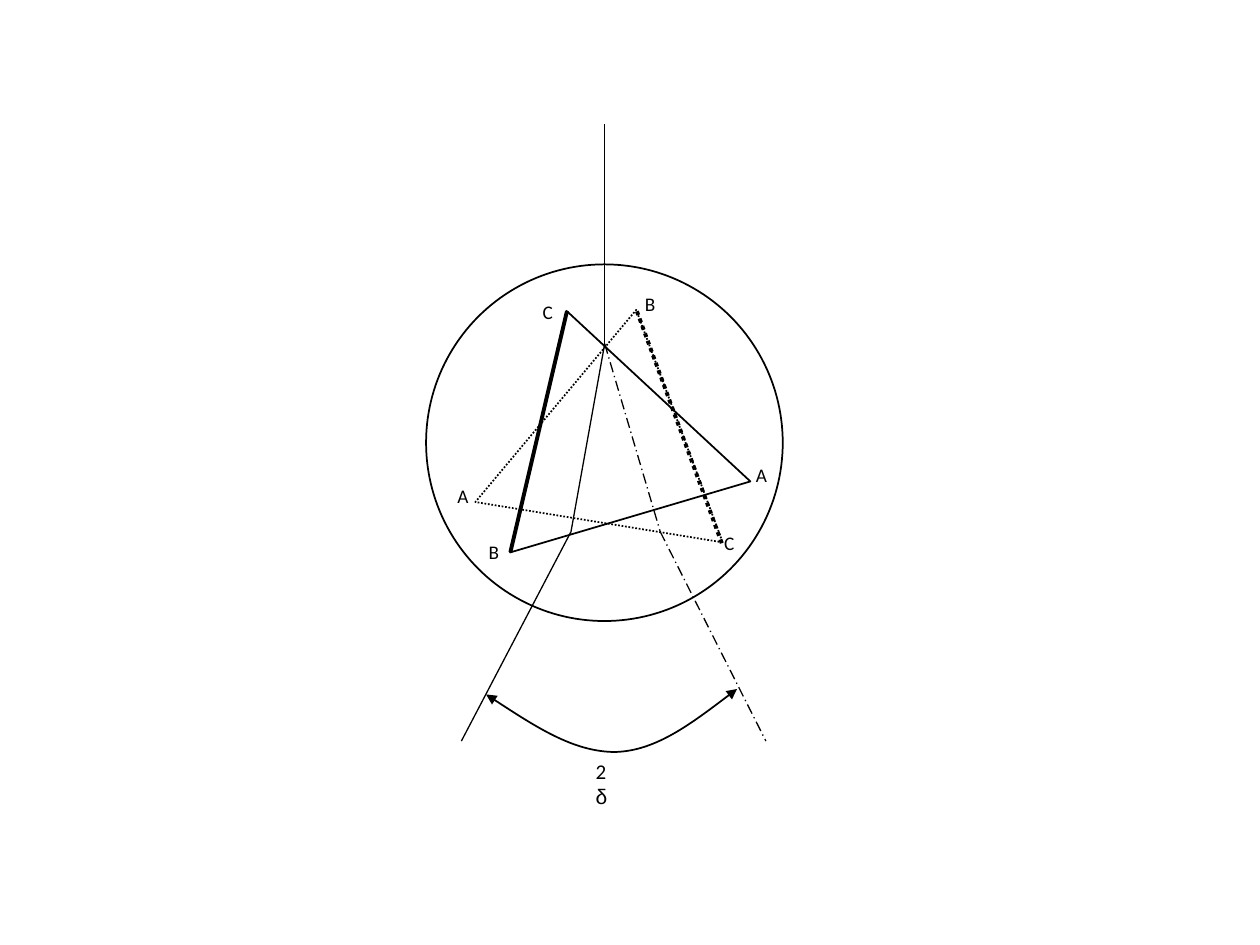
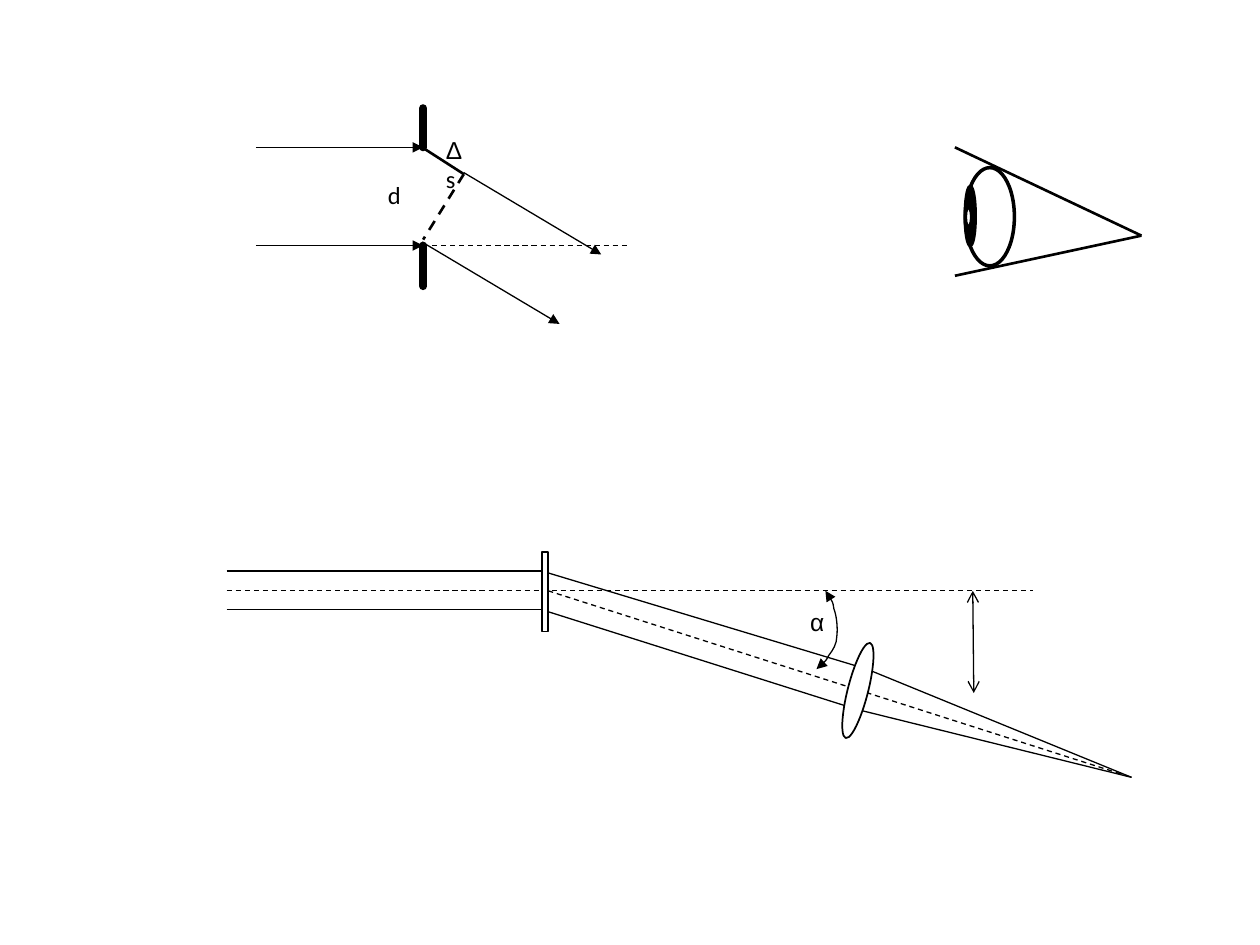
from lxml import etree
from pptx import Presentation
from pptx.dml.color import RGBColor
from pptx.enum.dml import MSO_LINE
from pptx.enum.shapes import MSO_CONNECTOR, MSO_SHAPE
from pptx.enum.text import MSO_AUTO_SIZE, PP_ALIGN
from pptx.oxml.ns import qn
from pptx.util import Cm, Pt

BLACK = RGBColor(0x00, 0x00, 0x00)
WHITE = RGBColor(0xFF, 0xFF, 0xFF)
LATIN, GREEK = "Calibri", "Arial"

STRAIGHT = MSO_CONNECTOR.STRAIGHT
RECTANGLE = MSO_SHAPE.RECTANGLE
ELLIPSE = MSO_SHAPE.OVAL
TRIANGLE = MSO_SHAPE.ISOSCELES_TRIANGLE
DOTTED = MSO_LINE.ROUND_DOT
DASHED = MSO_LINE.DASH
DASH_DOT = MSO_LINE.LONG_DASH_DOT
FIT_TEXT = MSO_AUTO_SIZE.SHAPE_TO_FIT_TEXT
LEFT = PP_ALIGN.LEFT


# Element helpers; all positions and sizes are in centimetres
def style_line(line, width, dash=None, head=None, tail=None, color=BLACK):
    line.color.rgb = color
    line.width = Pt(width)
    if dash is not None:
        line.dash_style = dash
    ln = line.fill._xPr
    for end, arrow in (("a:headEnd", head), ("a:tailEnd", tail)):
        if arrow:
            etree.SubElement(ln, qn(end), type=arrow)


def add_line(slide, start, finish, width=0.75, dash=None, head=None, tail=None, cap=None):
    ends = [Cm(value) for value in (*start, *finish)]
    connector = slide.shapes.add_connector(STRAIGHT, *ends)
    style_line(connector.line, width, dash, head, tail)
    properties = connector._element.spPr
    if cap:
        properties.find(qn("a:ln")).set("cap", cap)
    etree.SubElement(properties, qn("a:effectLst"))


def add_route(slide, points, **style):
    for start, finish in zip(points, points[1:]):
        add_line(slide, start, finish, **style)


def add_figure(slide, kind, left, top, width, height, fill=WHITE, line=BLACK,
               weight=1, dash=None, rotation=0):
    figure = slide.shapes.add_shape(kind, Cm(left), Cm(top), Cm(width), Cm(height))
    figure.shadow.inherit = False
    figure.rotation = rotation
    if fill is None:
        figure.fill.background()
    else:
        figure.fill.solid()
        figure.fill.fore_color.rgb = fill
    style_line(figure.line, weight, dash, color=line)


def add_angle_arc(slide, points, width):
    """Draw a double-headed Bezier curve: a start, then three points per piece."""
    corners = [(Cm(x), Cm(y)) for x, y in points]
    builder = slide.shapes.build_freeform(*corners[0])
    builder.add_line_segments(corners[1:], close=False)
    arc = builder.convert_to_shape()
    arc.shadow.inherit = False
    arc.fill.background()
    style_line(arc.line, width, head="triangle", tail="triangle")
    # Turn each three straight steps into one cubic piece
    steps = arc._element.xpath(".//a:lnTo")
    for first in range(0, len(steps), 3):
        piece = etree.Element(qn("a:cubicBezTo"))
        steps[first].addprevious(piece)
        for step in steps[first:first + 3]:
            piece.append(step[0])
            step.getparent().remove(step)


def add_label(slide, left, top, width, height, size, *pieces):
    """Each piece is a (text, font name) pair."""
    box = slide.shapes.add_textbox(Cm(left), Cm(top), Cm(width), Cm(height))
    frame = box.text_frame
    frame.word_wrap = True
    frame.auto_size = FIT_TEXT
    paragraph = frame.paragraphs[0]
    paragraph.alignment = LEFT
    paragraph.font.size = Pt(size)
    paragraph.font.color.rgb = BLACK
    for text, font_name in pieces:
        run = paragraph.add_run()
        run.text = text
        run.font.name = font_name


def add_vertex_labels(slide, corners):
    for letter, (left, top) in zip("ABC", corners):
        add_label(slide, left, top, 0.74, 0.74, 11, (letter, LATIN))


# Slide 1: prism in two positions on a turntable
def build_prism(slide):
    add_figure(slide, RECTANGLE, 7.19, 1.78, 9.75, 14.15, line=WHITE, weight=2)
    add_figure(slide, ELLIPSE, 8.59, 5.33, 7.19, 7.19)

    # First position with its refracted ray
    apex = (12.19, 6.93)
    add_figure(slide, TRIANGLE, 10.49, 7.01, 5, 4.39, rotation=103.2)
    add_line(slide, (11.43, 6.27), (10.29, 11.13), 2.25)
    add_vertex_labels(slide, [(14.99, 9.22), (9.6, 10.77), (10.69, 5.92)])
    add_route(slide, [(12.19, 2.51), (12.19, 5.33), apex, (11.51, 10.72), (9.3, 14.94)])

    # Second position with its refracted ray
    add_figure(slide, TRIANGLE, 9.14, 7.16, 5, 4.39, fill=None, dash=DOTTED, rotation=249.6)
    add_line(slide, (14.55, 10.95), (12.83, 6.25), 2.25, DOTTED)
    add_vertex_labels(slide, [(8.97, 9.63), (12.75, 5.77), (14.35, 10.59)])
    add_route(slide, [apex, (13.31, 10.72), (15.44, 14.94)], dash=DASH_DOT)

    # Angle between the two rays
    add_angle_arc(slide, [(9.8, 14), (10.69, 14.58), (11.56, 15.16), (12.4, 15.16),
                          (13.23, 15.14), (14.05, 14.5), (14.86, 13.89)], 1)
    add_label(slide, 11.76, 15.16, 0.94, 0.76, 12, ("2", LATIN), ("δ", GREEK))


# Slide 2, top left: path difference behind the slits
def build_slits(slide):
    slit_x, upper, lower = 8.53, 2.97, 4.95
    for top, bottom in ((2.18, upper), (lower, 5.77)):
        add_line(slide, (slit_x, top), (slit_x, bottom), 4.5, cap="rnd")
    for y in (upper, lower):
        add_line(slide, (5.16, y), (slit_x, y), tail="triangle")

    foot = (9.35, 3.51)
    add_line(slide, (8.51, upper), foot, 1.5)
    add_line(slide, foot, (slit_x, 4.83), 1.5, DASHED)
    for x, y in ((9.35, 3.48), (8.51, 4.88)):
        add_line(slide, (x, y), (x + 2.77, y + 1.65), tail="triangle")
    add_line(slide, (slit_x, lower), (12.7, lower), dash=DASHED)

    add_label(slide, 7.57, 3.51, 0.79, 0.86, 14, ("d", LATIN))
    add_label(slide, 8.74, 2.59, 1.02, 0.86, 14, ("Δ", GREEK), ("s", LATIN))


# Slide 2, top right: observer's eye
def build_eye(slide):
    left = 19.46
    add_figure(slide, ELLIPSE, left, 3.38, 0.99, 1.98, weight=2)
    add_figure(slide, ELLIPSE, left, 3.76, 0.2, 1.19, fill=BLACK, weight=2)
    add_route(slide, [(19.25, 2.97), (23.01, 4.75), (19.25, 5.56)], width=1.5)
    add_figure(slide, ELLIPSE, left, 4.17, 0.13, 0.41, weight=2)


# Slide 2, bottom: beam through a grating and a lens
def build_grating(slide):
    source_x, grating_x, axis_y = 4.57, 10.92, 11.91
    focus = (22.81, 15.67)
    add_figure(slide, RECTANGLE, 3.76, 10.92, 19.46, 4.95, line=WHITE, weight=2)
    add_angle_arc(slide, [(16.64, axis_y), (16.71, 12.01), (16.79, 12.12), (16.81, 12.27),
                          (16.87, 12.42), (16.89, 12.67), (16.87, 12.83),
                          (16.87, 12.98), (16.79, 13.11), (16.71, 13.21),
                          (16.64, 13.34), (16.56, 13.41), (16.46, 13.49)], 0.75)
    add_label(slide, 16.08, 12.12, 0.84, 0.86, 14, ("α", GREEK))

    for y, lens_point in ((11.51, (17.48, 13.49)), (12.29, (17.27, 14.3))):
        add_route(slide, [(source_x, y), (grating_x, y), lens_point, focus])
    add_line(slide, (source_x, axis_y), (20.83, axis_y), dash=DASHED)
    add_figure(slide, RECTANGLE, grating_x, 11.13, 0.13, 1.6)
    add_line(slide, (11.05, axis_y), focus, dash=DASHED)
    add_figure(slide, ELLIPSE, 17.09, 12.93, 0.41, 1.98, rotation=14.3)
    add_line(slide, (19.61, axis_y), (19.63, 13.97), head="arrow", tail="arrow")


def main():
    deck = Presentation()
    deck.slide_width, deck.slide_height = Cm(25.4), Cm(19.05)
    blank = deck.slide_layouts[6]

    build_prism(deck.slides.add_slide(blank))

    diffraction = deck.slides.add_slide(blank)
    build_slits(diffraction)
    build_eye(diffraction)
    build_grating(diffraction)

    deck.save("out.pptx")


if __name__ == "__main__":
    main()
